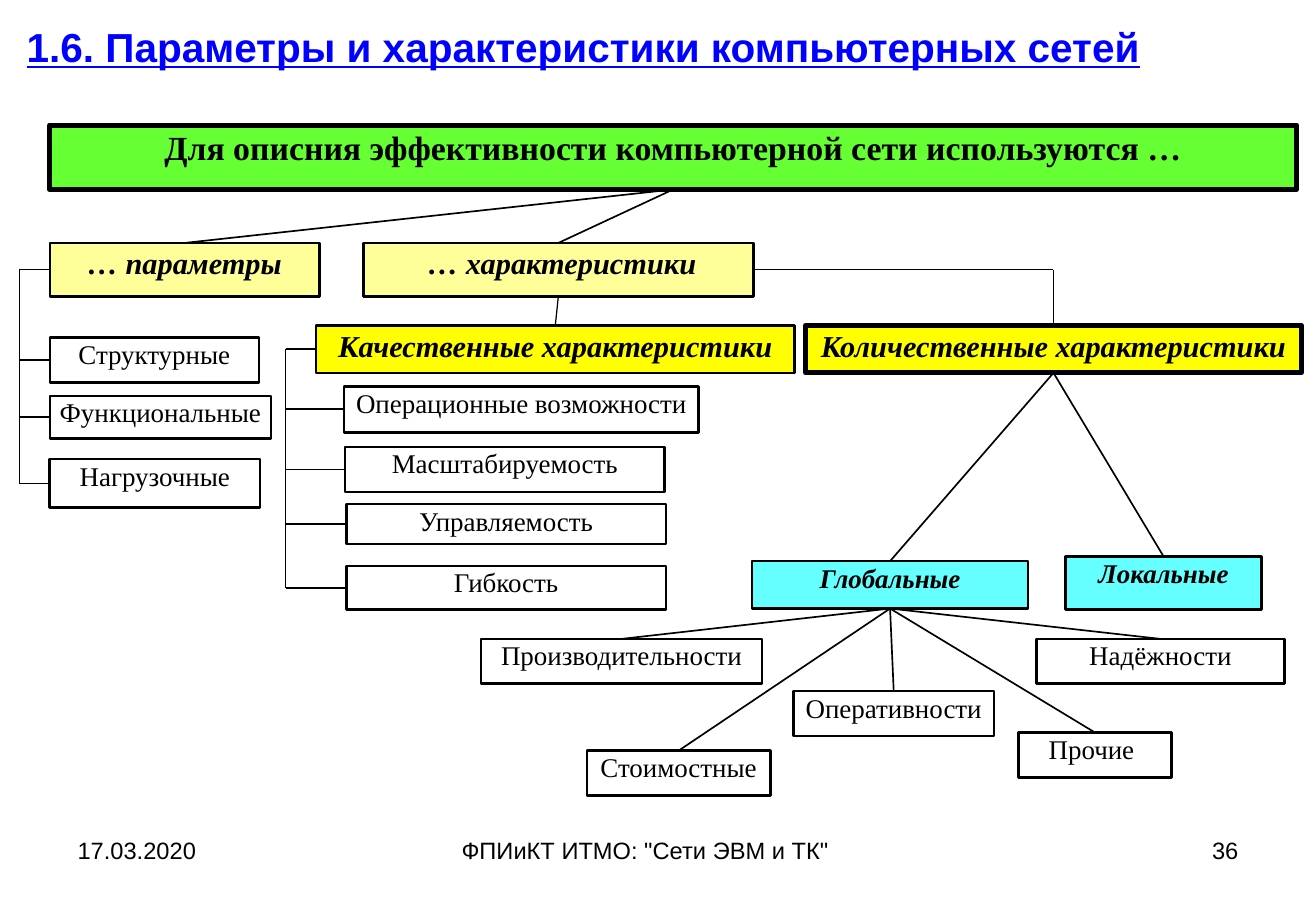
"""Builds the slide on parameters and characteristics of computer networks."""
from pptx import Presentation
from pptx import util as u
from pptx.dml.color import RGBColor
from pptx.enum import shapes, text
from pptx.oxml.ns import qn

PX = 9144
BLACK = RGBColor(0x00, 0x00, 0x00)
WHITE = RGBColor(0xFF, 0xFF, 0xFF)
BLUE = RGBColor(0x00, 0x00, 0xFF)
GREEN = RGBColor(0x66, 0xFF, 0x33)
PALE = RGBColor(0xFF, 0xFF, 0x99)
YELLOW = RGBColor(0xFF, 0xFF, 0x00)
CYAN = RGBColor(0x66, 0xFF, 0xFF)
LEFT, CENTER, RIGHT = text.PP_ALIGN.LEFT, text.PP_ALIGN.CENTER, text.PP_ALIGN.RIGHT
TOP_SITE, BOTTOM_SITE = 0, 2


def write(shape, wording, alignment, color, **font_values):
    frame = shape.text_frame
    frame.word_wrap = True
    paragraph = frame.paragraphs[0]
    paragraph.alignment = alignment
    run = paragraph.add_run()
    run.text = wording
    run.font.color.rgb = color
    for name, value in font_values.items():
        setattr(run.font, name, value)


def add_line(start_x=0, start_y=0, end_x=0, end_y=0, width=1):
    line = slide.shapes.add_connector(
        shapes.MSO_CONNECTOR.STRAIGHT, start_x, start_y, end_x, end_y)
    line.line.color.rgb = BLACK
    line.line.width = u.Pt(width)
    properties = line._element.spPr
    properties.append(properties.makeelement(qn("a:effectLst"), {}))
    return line


presentation = Presentation()
presentation.slide_width = 1083 * PX
presentation.slide_height = 750 * PX
slide = presentation.slides.add_slide(presentation.slide_layouts[5])

title = slide.shapes.title
for name, value in {"left": 0, "top": 1, "width": 960, "height": 74}.items():
    setattr(title, name, value * PX)
title.text_frame.vertical_anchor = text.MSO_ANCHOR.MIDDLE
write(title, "1.6. Параметры и характеристики компьютерных сетей", CENTER, BLUE,
      name="Arial", size=u.Pt(24), bold=True, underline=True)

footers = [
    ("17.03.2020", 54, 253, LEFT),
    ('ФПИиКТ ИТМО: "Сети ЭВМ и ТК"', 370, 343, LEFT),
    ("36", 776, 253, RIGHT),
]
for wording, left, width, alignment in footers:
    footer = slide.shapes.add_textbox(left * PX, 683 * PX, width * PX, 52 * PX)
    write(footer, wording, alignment, BLACK, name="Arial", size=u.Pt(14))

styles = {
    "header": dict(fill=GREEN, border=3, size=20, bold=True, italic=False, inset=1),
    "group": dict(fill=PALE, border=1.5, size=18, bold=True, italic=True, inset=1),
    "quality": dict(fill=YELLOW, border=1.5, size=18, bold=True, italic=True, inset=1),
    "quantity": dict(fill=YELLOW, border=3, size=18, bold=True, italic=True, inset=1),
    "scope": dict(fill=CYAN, border=1.5, size=16, bold=True, italic=True, inset=0),
    "item": dict(fill=WHITE, border=1.5, size=16, bold=False, italic=False, inset=0),
}
box_rows = [
    ("header", "Для описния эффективности компьютерной сети используются …",
     "header", 41, 103, 1026, 53),
    ("parameters", "… параметры", "group", 41, 200, 222, 44),
    ("characteristics", " … характеристики", "group", 299, 200, 321, 44),
    ("structural", "Структурные", "item", 41, 278, 172, 37),
    ("functional", "Функциональные", "item", 41, 326, 182, 35),
    ("load", "Нагрузочные", "item", 41, 378, 173, 40),
    ("quality", "Качественные характеристики", "quality", 260, 268, 394, 39),
    ("operations", "Операционные возможности", "item", 283, 318, 292, 38),
    ("scalability", "Масштабируемость", "item", 284, 368, 263, 37),
    ("control", "Управляемость", "item", 285, 415, 263, 33),
    ("flexibility", "Гибкость", "item", 285, 466, 263, 36),
    ("quantity", "Количественные характеристики", "quantity", 663, 268, 408, 39),
    ("global", "Глобальные", "scope", 619, 462, 227, 39),
    ("local", "Локальные", "scope", 877, 458, 161, 44),
    ("performance", "Производительности", "item", 396, 526, 231, 37),
    ("promptness", "Оперативности", "item", 653, 569, 165, 37),
    ("reliability", "Надёжности", "item", 853, 526, 204, 37),
    ("cost", "Стоимостные", "item", 483, 618, 151, 37),
    ("other", "Прочие ", "item", 838, 603, 126, 37),
]
boxes = {}
for key, wording, style_name, *place in box_rows:
    style = styles[style_name]
    box = slide.shapes.add_shape(
        shapes.MSO_SHAPE.RECTANGLE, *[value * PX for value in place])
    box.shadow.inherit = False
    box.fill.solid()
    box.fill.fore_color.rgb = style["fill"]
    box.line.color.rgb = BLACK
    box.line.width = u.Pt(style["border"])
    frame_values = {
        "margin_left": 2 * PX, "margin_right": 2 * PX,
        "margin_top": style["inset"] * PX, "margin_bottom": style["inset"] * PX,
        "vertical_anchor": text.MSO_ANCHOR.TOP,
    }
    for name, value in frame_values.items():
        setattr(box.text_frame, name, value)
    write(box, wording, CENTER, BLACK, name="Times New Roman",
          size=u.Pt(style["size"]), bold=style["bold"], italic=style["italic"])
    boxes[key] = box

branches = [
    ("header", ["parameters", "characteristics"], 1),
    ("characteristics", ["quality"], 0.75),
    ("quantity", ["global", "local"], 1),
    ("global", ["performance", "promptness", "cost", "other", "reliability"], 1),
]
for parent, children, width in branches:
    for child in children:
        line = add_line(width=width)
        line.begin_connect(boxes[parent], BOTTOM_SITE)
        line.end_connect(boxes[child], TOP_SITE)

brackets = [
    (16, ["parameters", "structural", "functional", "load"]),
    (235, ["quality", "operations", "scalability", "control", "flexibility"]),
]
for trunk, members in brackets:
    middles = [boxes[key].top + boxes[key].height // 2 for key in members]
    add_line(trunk * PX, middles[0], trunk * PX, middles[-1])
    for key, middle in zip(members, middles):
        add_line(trunk * PX, middle, boxes[key].left, middle)

source, target = boxes["characteristics"], boxes["quantity"]
corner_x = target.left + target.width // 2
corner_y = source.top + source.height // 2
add_line(source.left + source.width, corner_y, corner_x, corner_y)
add_line(corner_x, corner_y, corner_x, target.top)

presentation.save("out.pptx")
